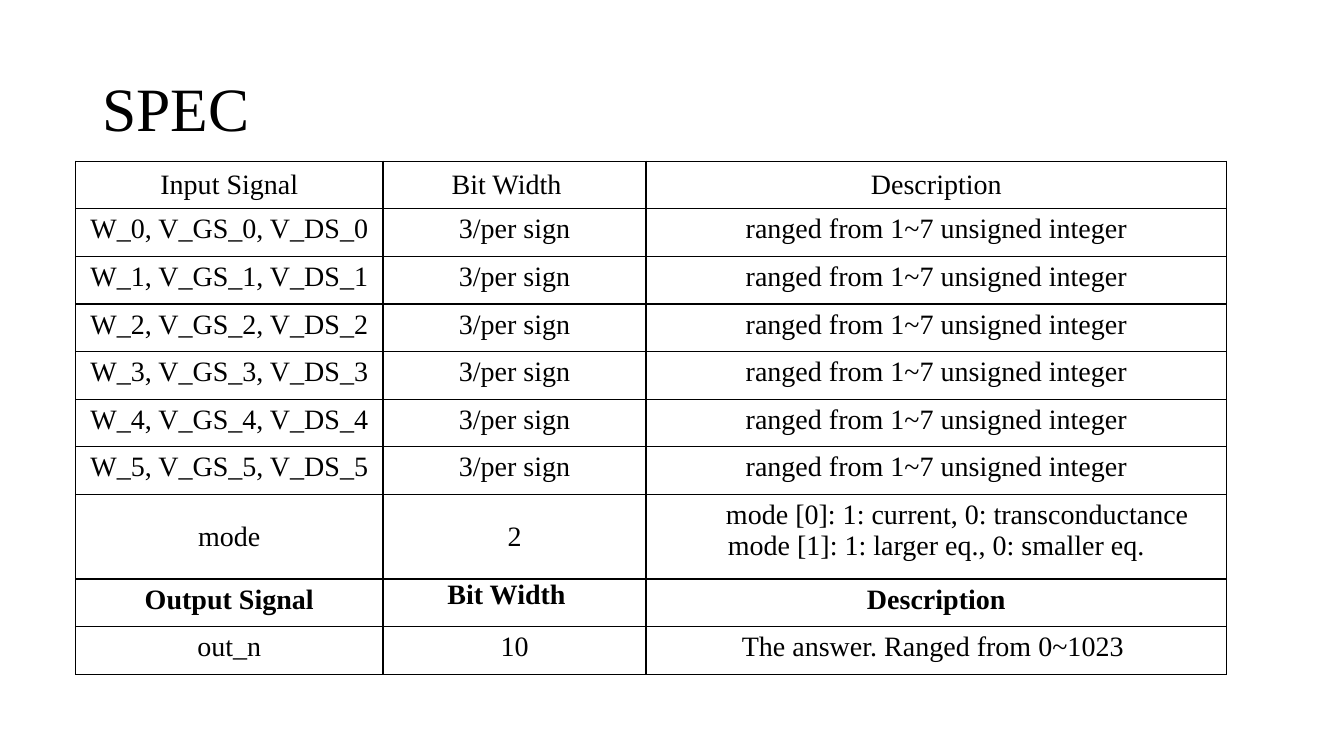
from dataclasses import dataclass

from lxml.etree import SubElement
from pptx import Presentation
from pptx.dml.color import RGBColor
from pptx.enum.text import MSO_ANCHOR as Anchor, PP_ALIGN as Align
from pptx.oxml.ns import qn
from pptx.util import Pt


@dataclass(frozen=True)
class Theme:
    font: str = "Times New Roman"
    ink: str = "000000"
    paper: str = "FFFFFF"
    title_size: float = 44
    table_size: float = 20
    border: float = 1


THEME = Theme()
COLUMN_WIDTHS = (219.6, 187.9, 414.7)
ROW_HEIGHT = 34
MODE_HEIGHT = 60.5
MODE_TEXT = ("mode [0]: 1: current, 0: transconductance\n"
             "mode [1]: 1: larger eq., 0: smaller eq.")
ROWS = [
    ("Input Signal", "Bit Width", "Description"),
    *((f"W_{n}, V_GS_{n}, V_DS_{n}", "3/per sign", "ranged from 1~7 unsigned integer")
      for n in range(6)),
    ("mode", "2", MODE_TEXT),
    ("Output Signal", "Bit Width", "Description"),
    ("out_n", "10", "The answer. Ranged from 0~1023"),
]
INPUT_HEADER, MODE, OUTPUT_HEADER, ANSWER = 0, 7, 8, 9


def set_font(paragraph, size, bold=False):
    font = paragraph.font
    font.name = THEME.font
    font.size = Pt(size)
    font.bold = bold
    font.color.rgb = RGBColor.from_string(THEME.ink)


def add_title(slide, text):
    box = slide.shapes.add_textbox(Pt(66), Pt(27.4), Pt(828), Pt(104.4))
    frame = box.text_frame
    frame.word_wrap = True
    frame.vertical_anchor = Anchor.MIDDLE
    frame.text = text
    paragraph = frame.paragraphs[0]
    paragraph.line_spacing = 0.9
    set_font(paragraph, THEME.title_size)


def draw_borders(cell):
    properties = cell._tc.get_or_add_tcPr()
    for side in ("a:lnL", "a:lnR", "a:lnT", "a:lnB"):
        line = SubElement(properties, qn(side), w=str(Pt(THEME.border)))
        fill = SubElement(line, qn("a:solidFill"))
        SubElement(fill, qn("a:srgbClr"), val=THEME.ink)


def fill_cell(cell, text, bold, anchor):
    draw_borders(cell)
    cell.fill.solid()
    cell.fill.fore_color.rgb = RGBColor.from_string(THEME.paper)
    cell.vertical_anchor = anchor
    cell.text = text
    for paragraph in cell.text_frame.paragraphs:
        paragraph.alignment = Align.CENTER
        set_font(paragraph, THEME.table_size, bold)


def offset_width_header(cell):
    """Shift a "Bit Width" heading slightly left of its column centre."""
    cell.margin_left = cell.margin_top = cell.margin_bottom = 0
    cell.margin_right = Pt(11.4)
    cell.text_frame.paragraphs[0].space_before = Pt(3.1)


def add_signal_table(slide):
    height = ROW_HEIGHT * (len(ROWS) - 1) + MODE_HEIGHT
    frame = slide.shapes.add_table(len(ROWS), len(COLUMN_WIDTHS), Pt(54), Pt(115.2),
                                   Pt(sum(COLUMN_WIDTHS)), Pt(height))
    table = frame.table
    table.first_row = table.horz_banding = False
    for column, width in zip(table.columns, COLUMN_WIDTHS):
        column.width = Pt(width)
    for r, texts in enumerate(ROWS):
        table.rows[r].height = Pt(MODE_HEIGHT if r == MODE else ROW_HEIGHT)
        for c, text in enumerate(texts):
            middle = r == INPUT_HEADER or (r == MODE and c < 2)
            fill_cell(table.cell(r, c), text, r == OUTPUT_HEADER,
                      Anchor.MIDDLE if middle else Anchor.TOP)
    for r in (INPUT_HEADER, OUTPUT_HEADER):
        offset_width_header(table.cell(r, 1))
    first_mode = table.cell(MODE, 2).text_frame.paragraphs[0]
    first_mode._p.get_or_add_pPr().set("marL", str(Pt(30)))
    table.cell(ANSWER, 2).margin_right = Pt(12.2)


def main():
    presentation = Presentation()
    presentation.slide_width = Pt(960)
    presentation.slide_height = Pt(540)
    slide = presentation.slides.add_slide(presentation.slide_layouts[6])
    add_title(slide, "SPEC")
    add_signal_table(slide)
    presentation.save("out.pptx")


if __name__ == "__main__":
    main()
